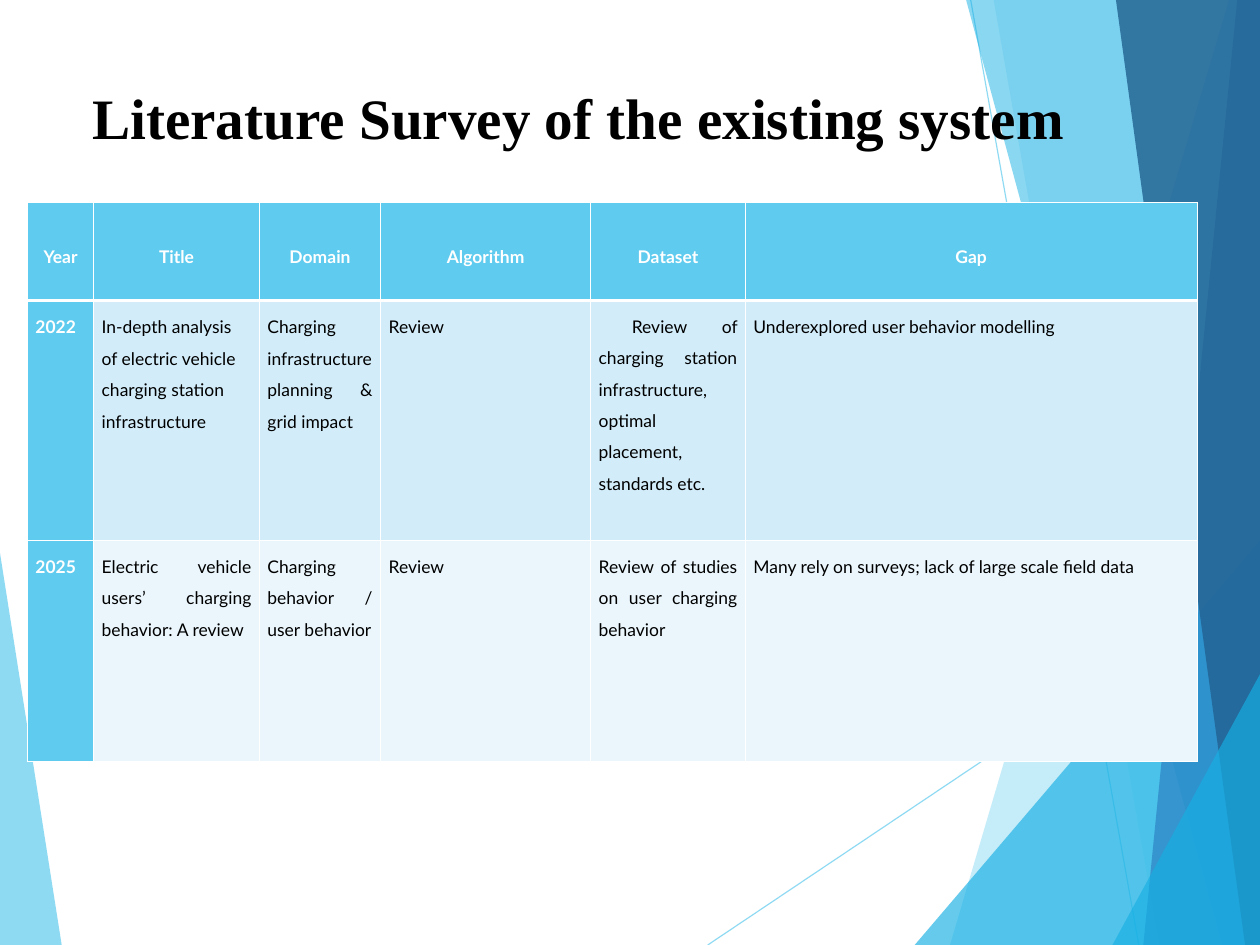
from lxml.etree import SubElement
from pptx import Presentation
from pptx.dml.color import RGBColor
from pptx.enum.shapes import MSO_CONNECTOR
from pptx.enum.text import MSO_ANCHOR, PP_ALIGN
from pptx.oxml.ns import qn
from pptx.util import Cm, Emu, Inches, Pt

THEME = {
    "sky": "5FCBEF", "azure": "17B0E4", "blue": "2E83C3", "navy": "236292",
    "white": "FFFFFF", "black": "000000",
    "bands": ["D2ECF9", "EAF6FC"],
    "title_font": "Times New Roman", "title_size": 36,
    "table_font": "Lato", "table_size": 11,
    "hairline": 0.75, "thin_border": 0.45, "thick_border": 1.47,
}

presentation = Presentation()
presentation.slide_width, presentation.slide_height = Cm(28), Cm(21)
slide = presentation.slides.add_slide(presentation.slide_layouts[6])


def at(across, down):
    """Turn percentages of the slide's width and height into lengths."""
    return (Emu(round(presentation.slide_width * across / 100)),
            Emu(round(presentation.slide_height * down / 100)))


def write(frame, text, font, size, color, bold=False,
          align=PP_ALIGN.LEFT, spacing=1.0, indent=0):
    frame.word_wrap = True
    paragraph = frame.paragraphs[0]
    paragraph.alignment = align
    paragraph.line_spacing = spacing
    if indent:
        paragraph._p.get_or_add_pPr().set("indent", str(Inches(indent)))
    run = paragraph.add_run()
    run.text = text
    run.font.name = font
    run.font.size = Pt(size)
    run.font.bold = bold
    run.font.color.rgb = RGBColor.from_string(color)


# Background rays and facets, in percent of the slide
rays = [((56.17, 100), (100, 60.82)), ((77.04, 0), (90.38, 100))]
for start, end in rays:
    ray = slide.shapes.add_connector(MSO_CONNECTOR.STRAIGHT, *at(*start), *at(*end))
    ray.line.width = Pt(THEME["hairline"])
    ray.line.color.rgb = RGBColor.from_string(THEME["sky"])
    properties = ray._element.spPr
    SubElement(properties.find(".//" + qn("a:srgbClr")), qn("a:alpha"), val="70000")
    SubElement(properties, qn("a:effectLst"))

facets = [
    ("sky", 70, [(0, 58.5), (4.9, 100), (0, 100)]),
    ("sky", 36, [(97.55, 0), (75.4, 100), (100, 100), (100, 0)]),
    ("sky", 20, [(78.86, 0), (92.01, 100), (100, 100), (100, 0)]),
    ("azure", 66, [(72.6, 100), (100, 57.2), (100, 100)]),
    ("azure", 50, [(76.68, 0), (97, 100), (100, 100), (100, 0)]),
    ("blue", 70, [(98.19, 0), (90.74, 100), (100, 100), (100, 0)]),
    ("navy", 82, [(88.57, 0), (98.82, 100), (100, 100), (100, 0)]),
    ("azure", 66, [(88.29, 100), (100, 71.34), (100, 100)]),
]
for color, opacity, corners in facets:
    first, *others = [at(*corner) for corner in corners]
    outline = slide.shapes.build_freeform(*first)
    outline.add_line_segments(others, close=True)
    facet = outline.convert_to_shape()
    facet.shadow.inherit = False
    facet.line.fill.background()
    facet.fill.solid()
    facet.fill.fore_color.rgb = RGBColor.from_string(THEME[color])
    SubElement(facet._element.spPr.find(".//" + qn("a:srgbClr")),
               qn("a:alpha"), val=str(opacity * 1000))

# Survey table
survey = [
    ["Year", "Title", "Domain", "Algorithm", "Dataset", "Gap"],
    ["2022",
     "In-depth analysis of electric vehicle charging station infrastructure",
     "Charging infrastructure planning & grid impact",
     "Review",
     "Review of charging station infrastructure, optimal placement, standards etc.",
     "Underexplored user behavior modelling"],
    ["2025",
     "Electric vehicle users’ charging behavior: A review",
     "Charging behavior / user behavior",
     "Review",
     "Review of studies on user charging behavior",
     "Many rely on surveys; lack of large scale field data"],
]
column_shares = [5.26, 13.16, 9.62, 16.67, 12.28, 35.84]
row_shares = [10.4, 25.39, 23.4]
table = slide.shapes.add_table(
    len(row_shares), len(column_shares),
    *at(2.18, 21.4), *at(sum(column_shares), sum(row_shares))).table
table.horz_banding = False
for column, share in zip(table.columns, column_shares):
    column.width = at(share, 0)[0]
for row, share in zip(table.rows, row_shares):
    row.height = at(0, share)[1]

for r, entries in enumerate(survey):
    for c, entry in enumerate(entries):
        cell = table.cell(r, c)
        is_header = r == 0
        is_heading = is_header or c == 0
        cell.margin_left = cell.margin_right = Inches(0.07)
        cell.vertical_anchor = MSO_ANCHOR.MIDDLE if is_header else MSO_ANCHOR.TOP

        thick_side = {0: "lnB", 1: "lnT"}.get(r)
        for side in ("lnL", "lnR", "lnT", "lnB"):
            width = THEME["thick_border" if side == thick_side else "thin_border"]
            border = SubElement(cell._tc.get_or_add_tcPr(), qn("a:" + side),
                                w=str(Pt(width)))
            SubElement(SubElement(border, qn("a:solidFill")),
                       qn("a:srgbClr"), val=THEME["white"])
        cell.fill.solid()
        cell.fill.fore_color.rgb = RGBColor.from_string(
            THEME["sky"] if is_heading else THEME["bands"][r - 1])

        if is_header:
            align = PP_ALIGN.CENTER
        else:
            align = PP_ALIGN.LEFT if (r, c) == (1, 1) else PP_ALIGN.JUSTIFY
        write(cell.text_frame, entry, THEME["table_font"], THEME["table_size"],
              THEME["white" if is_heading else "black"], bold=is_heading,
              align=align, spacing=1.49 if (r, c) in [(1, 1), (1, 2)] else 1.48,
              indent=0.29 if (r, c) == (1, 4) else 0)

# Slide title
title = slide.shapes.add_textbox(*at(6.44, 8.1), *at(81.49, 8.46))
write(title.text_frame, "Literature Survey of the existing system",
      THEME["title_font"], THEME["title_size"], THEME["black"], bold=True)

presentation.save("out.pptx")
